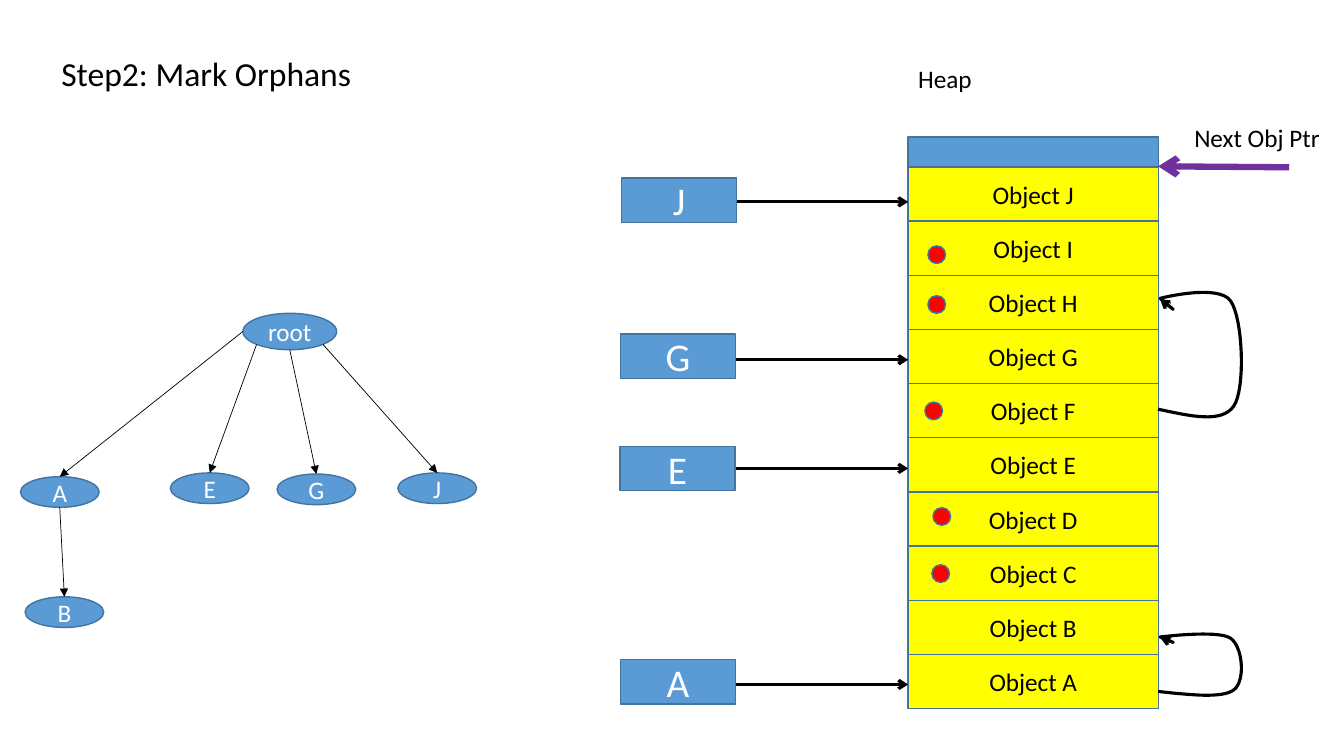
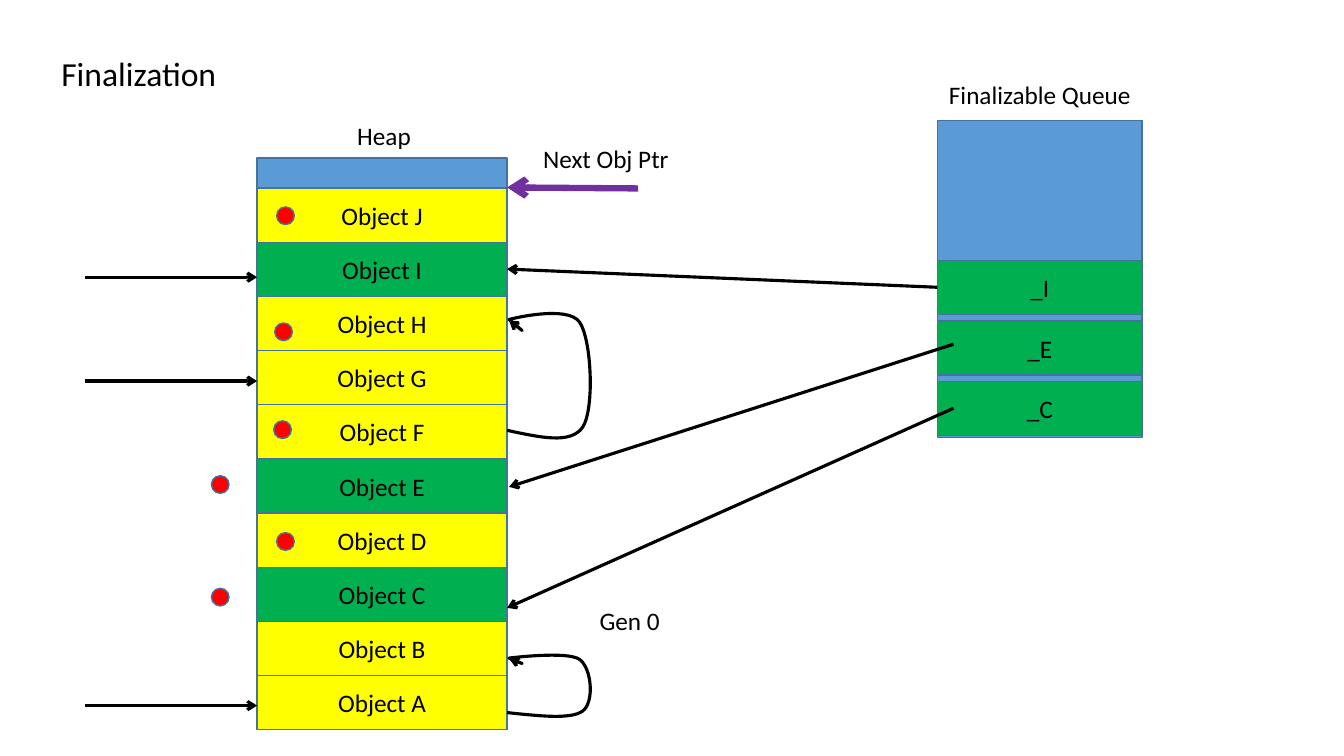
from dataclasses import dataclass
from math import cos, radians, sin

from lxml.etree import SubElement
from pptx import Presentation
from pptx.dml.color import RGBColor
from pptx.enum.shapes import MSO_CONNECTOR, MSO_SHAPE
from pptx.enum.text import MSO_ANCHOR, PP_ALIGN
from pptx.oxml.ns import qn
from pptx.util import Pt


@dataclass(frozen=True)
class Theme:
    font: str = "Calibri"
    black: RGBColor = RGBColor(0x00, 0x00, 0x00)
    white: RGBColor = RGBColor(0xFF, 0xFF, 0xFF)
    blue: RGBColor = RGBColor(0x5B, 0x9B, 0xD5)
    outline: RGBColor = RGBColor(0x43, 0x73, 0x9E)
    live: RGBColor = RGBColor(0xFF, 0xFF, 0x00)
    finalizable: RGBColor = RGBColor(0x00, 0xB0, 0x50)
    orphan: RGBColor = RGBColor(0xFF, 0x00, 0x00)
    pointer: RGBColor = RGBColor(0x70, 0x30, 0xA0)
    title_size: int = 24
    body_size: int = 18
    reference_size: int = 28


THEME = Theme()
HEAP_WIDTH, HEAP_HEIGHT = 178.6, 408.2
FREE_SPACE, SLOT_HEIGHT = 21.4, 38.68
REFERENCE_LENGTH = 123.1
LOOP_WIDTH = 59
LOOP_START = (0, 0.935)
LOOP_CURVES = [
    [(0.39, 0.99), (0.77, 1.05), (0.915, 0.91)],
    [(1.06, 0.766), (1.024, 0.21), (0.878, 0.07)],
    [(0.73, -0.073), (0.024, 0.048), (0.024, 0.048)],
]
LOOP_HOOK = [(0.183, 0.137), (0.024, 0.056)]


def apply(target, values):
    for attribute, value in values.items():
        setattr(target, attribute, value)


def write(frame, text, size, color, align):
    paragraph = frame.paragraphs[0]
    paragraph.alignment = align
    run = paragraph.add_run()
    run.text = text
    apply(run.font, {"name": THEME.font, "size": Pt(size)})
    run.font.color.rgb = color


def add_label(slide, text, left, top, width, height=28.8,
              size=THEME.body_size, align=PP_ALIGN.LEFT, wrap=True):
    frame = slide.shapes.add_textbox(
        Pt(left), Pt(top), Pt(width), Pt(height)).text_frame
    frame.word_wrap = wrap
    write(frame, text, size, THEME.black, align)


def add_title(slide, text):
    add_label(slide, text, 36.7, 34.6, 328, 36, THEME.title_size)


def add_block(slide, left, top, width, height, fill, text="",
              color=THEME.black, size=THEME.body_size,
              outline=MSO_SHAPE.RECTANGLE):
    block = slide.shapes.add_shape(
        outline, Pt(left), Pt(top), Pt(width), Pt(height))
    block.shadow.inherit = False
    block.fill.solid()
    block.fill.fore_color.rgb = fill
    block.line.color.rgb = THEME.outline
    block.line.width = Pt(1)
    if text:
        block.text_frame.vertical_anchor = MSO_ANCHOR.MIDDLE
        write(block.text_frame, text, size, color, PP_ALIGN.CENTER)


def style_arrow(arrow, color, weight, head):
    arrow.line.color.rgb = color
    arrow.line.width = Pt(weight)
    SubElement(arrow._element.spPr.find(qn("a:ln")), qn("a:tailEnd"), type=head)


def add_arrow(slide, start, end, color=THEME.black, weight=2.25, head="arrow"):
    arrow = slide.shapes.add_connector(
        MSO_CONNECTOR.STRAIGHT, *map(Pt, (*start, *end)))
    style_arrow(arrow, color, weight, head)
    SubElement(arrow._element.spPr, qn("a:effectLst"))


def curve_points(start, first, second, end, steps=16):
    for step in range(1, steps + 1):
        t = step / steps
        weights = ((1 - t) ** 3, 3 * t * (1 - t) ** 2, 3 * t * t * (1 - t), t ** 3)
        yield tuple(sum(w * value for w, value in zip(weights, axis))
                    for axis in zip(start, first, second, end))


def add_loop(slide, left, top, height):
    outline = [LOOP_START]
    for curve in LOOP_CURVES:
        outline.extend(curve_points(outline[-1], *curve))
    outline += LOOP_HOOK
    points = [(Pt(left + x * LOOP_WIDTH), Pt(top + y * height)) for x, y in outline]
    builder = slide.shapes.build_freeform(*points[0])
    builder.add_line_segments(points[1:], close=False)
    loop = builder.convert_to_shape()
    loop.shadow.inherit = False
    loop.fill.background()
    style_arrow(loop, THEME.black, 2.25, "arrow")


def add_heap(slide, left, top, finalizable=""):
    right = left + HEAP_WIDTH
    add_block(slide, left, top, HEAP_WIDTH, HEAP_HEIGHT, THEME.blue)
    for row, letter in enumerate("JIHGFEDCBA"):
        fill = THEME.finalizable if letter in finalizable else THEME.live
        add_block(slide, left, top + FREE_SPACE + row * SLOT_HEIGHT,
                  HEAP_WIDTH, SLOT_HEIGHT, fill, f"Object {letter}")
    add_arrow(slide, (right + 93.6, top + 21.6), (right, top + 20.9),
              THEME.pointer, 4.5)
    add_label(slide, "Next Obj Ptr", left + 197.3, top - 14.4, 105.1, wrap=False)
    add_loop(slide, right, top + 110.9, 89.3)
    add_loop(slide, right, top + 355, 43.9)


def add_references(slide, heap_left, heights):
    for y in heights:
        add_arrow(slide, (heap_left - REFERENCE_LENGTH, y), (heap_left, y))


def add_orphan_marks(slide, places):
    for left, top in places:
        add_block(slide, left, top, 12.6, 12.6, THEME.orphan,
                  outline=MSO_SHAPE.OVAL)


def ellipse_site(node, angle):
    left, top, width, height = node
    return (left + width / 2 * (1 + cos(radians(angle))),
            top + height / 2 * (1 + sin(radians(angle))))


def add_tree(slide):
    leaf = (56.2, 21.9)
    nodes = {
        "root": (173.5, 223.8, 67, 26),
        "A": (14.6, 340.5, *leaf),
        "B": (17.9, 426.3, *leaf),
        "E": (121.7, 337.8, *leaf),
        "G": (197.9, 338.6, *leaf),
        "J": (284.2, 337.8, *leaf),
    }
    edges = [("root", "A", 180), ("root", "E", 135), ("root", "G", 90),
             ("root", "J", 45), ("A", "B", 90)]
    for name, node in nodes.items():
        add_block(slide, *node, THEME.blue, name, THEME.white,
                  outline=MSO_SHAPE.OVAL)
    for parent, child, angle in edges:
        add_arrow(slide, ellipse_site(nodes[parent], angle),
                  ellipse_site(nodes[child], 270), weight=0.5, head="triangle")


def add_queue(slide, left, top, width):
    add_block(slide, left, top, width, 226.8, THEME.blue)
    add_label(slide, "Finalizable Queue", left, top - 33, width,
              align=PP_ALIGN.CENTER)
    for row, entry in enumerate(("_I", "_E", "_C")):
        add_block(slide, left, top + 100.2 + row * 43.1, width, SLOT_HEIGHT,
                  THEME.finalizable, entry)


def build_orphans(slide):
    heap_left = 648.7
    add_title(slide, "Step2: Mark Orphans")
    add_label(slide, "Heap", heap_left, 41.8, HEAP_WIDTH)
    add_heap(slide, heap_left, 97.9)
    add_references(slide, heap_left, (144.2, 257, 334.6, 488.9))
    for letter, left, top in (("J", 444, 127.2), ("G", 443.2, 238.5),
                              ("E", 442.8, 318.8), ("A", 443.2, 471.2)):
        add_block(slide, left, top, 82.2, 31.8, THEME.blue, letter,
                  THEME.white, THEME.reference_size)
    add_orphan_marks(slide, [(662.8, 175.6), (662.8, 211.2), (660.6, 287.2),
                             (666.4, 362.6), (665.6, 403.4)])
    add_tree(slide)


def build_finalization(slide):
    heap_left = 183.6
    add_title(slide, "Finalization")
    add_label(slide, "Heap", 185, 82.1, HEAP_WIDTH, align=PP_ALIGN.CENTER)
    add_heap(slide, heap_left, 113, "IEC")
    add_references(slide, heap_left, (198, 272.2, 504))
    add_label(slide, "Gen 0", 421.2, 429.1, 58.3, wrap=False)
    add_queue(slide, 669.6, 85.9, 146.2)
    for start, end in (((669.6, 205.2), (362.2, 192.2)),
                       ((681.1, 245.9), (363.6, 347.8)),
                       ((681.1, 291.6), (362.2, 434.2))):
        add_arrow(slide, start, end)
    add_orphan_marks(slide, [(197.6, 147.8), (196.2, 230.7), (195.5, 300.6),
                             (197.6, 380.5), (151, 339.8), (151, 420.2)])


def main():
    deck = Presentation()
    apply(deck, {"slide_width": Pt(960), "slide_height": Pt(540)})
    for build in (build_orphans, build_finalization):
        build(deck.slides.add_slide(deck.slide_layouts[6]))
    deck.save("out.pptx")


if __name__ == "__main__":
    main()
